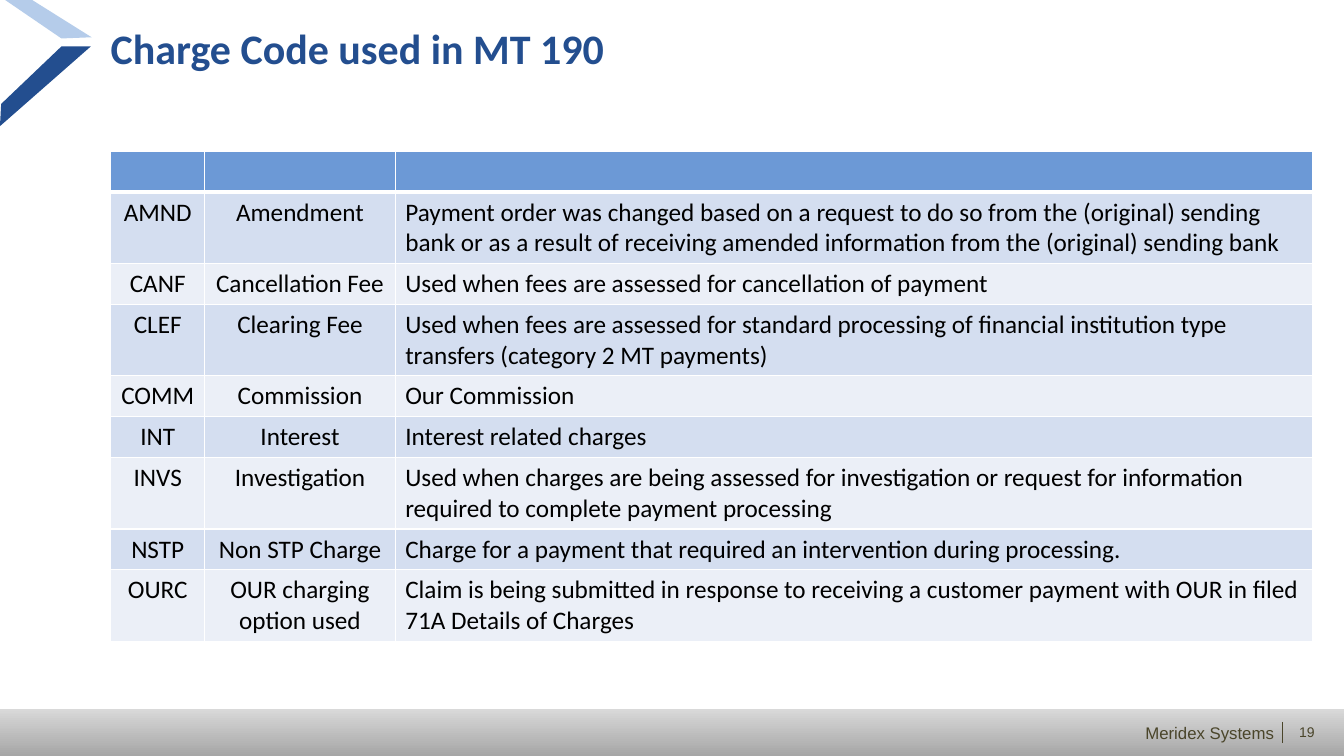
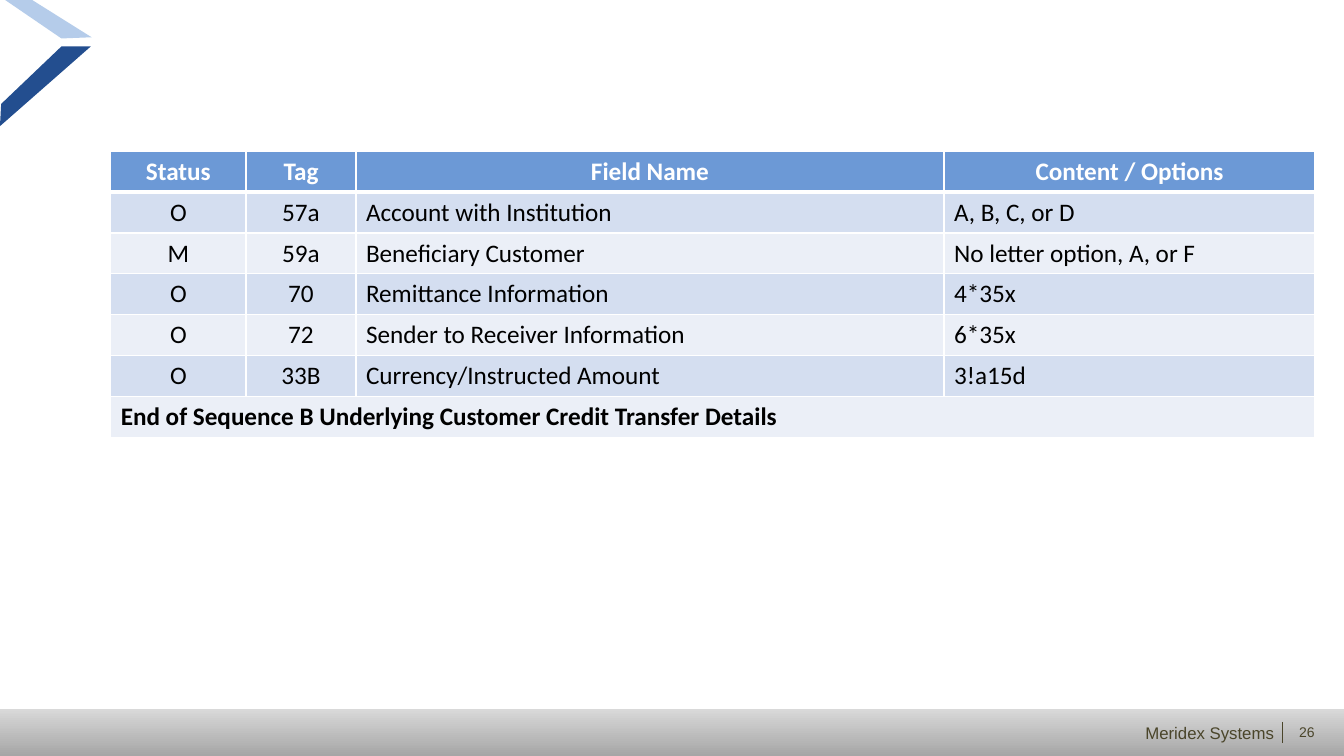
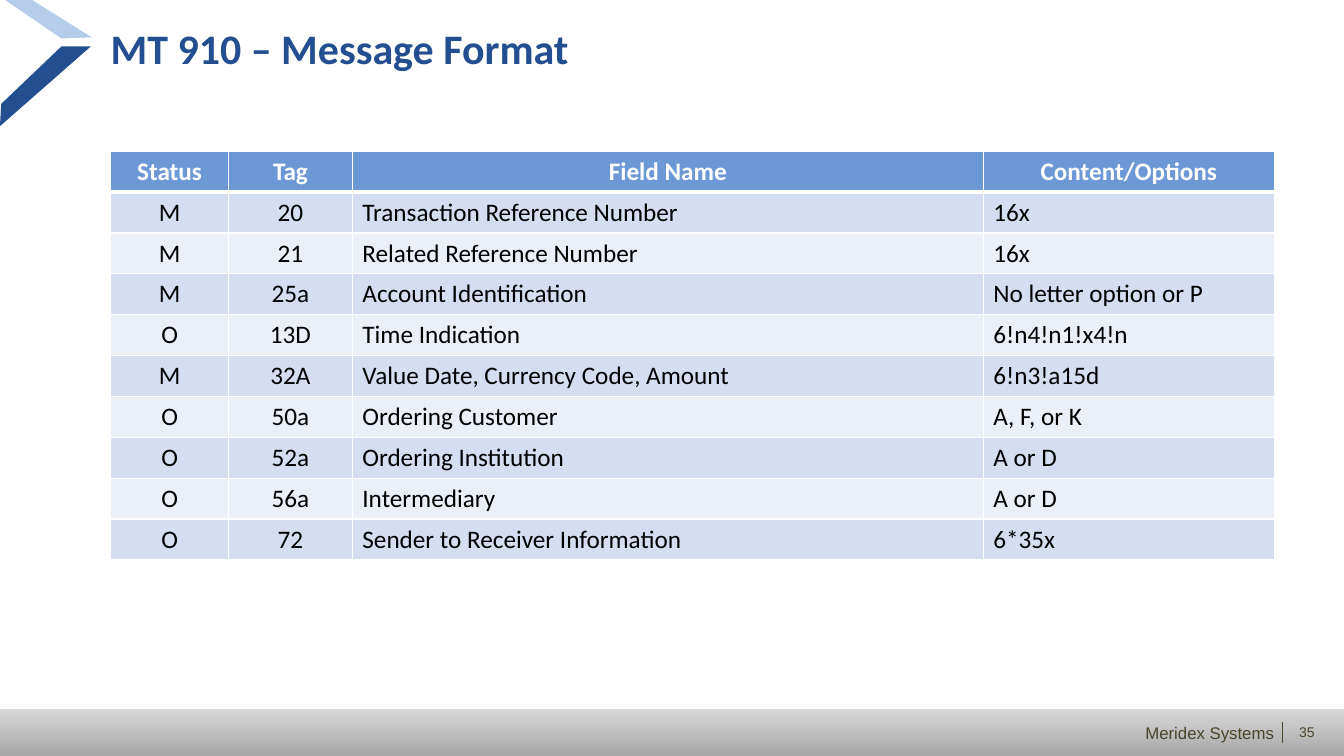
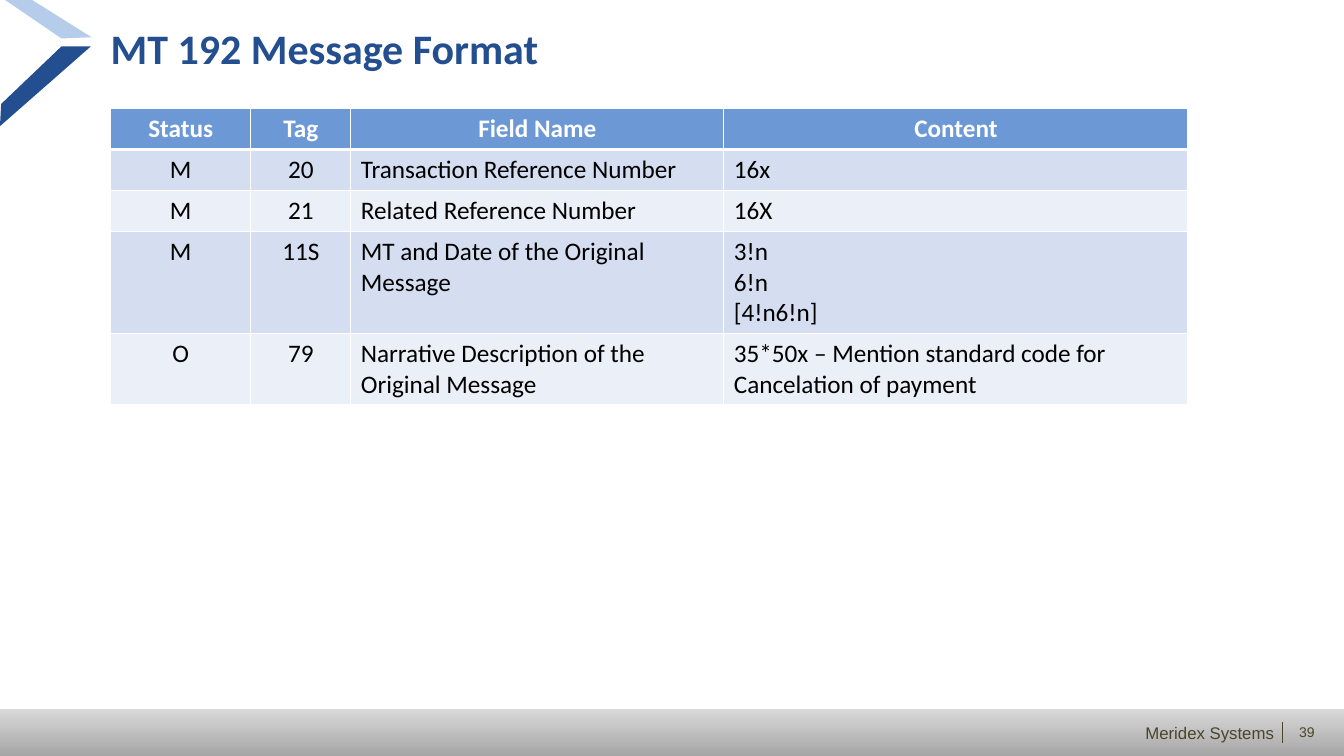
import pptx
import pptx.dml.color
import pptx.enum.shapes
import pptx.enum.text
import pptx.oxml
import pptx.oxml.ns
import pptx.util

Cm = pptx.util.Cm
Pt = pptx.util.Pt
ALIGN = pptx.enum.text.PP_ALIGN
ANCHOR = pptx.enum.text.MSO_ANCHOR

COLORS = {
    "white": "FFFFFF",
    "black": "000000",
    "navy": "234E8F",
    "sky": "B5CCEA",
    "header": "6C99D6",
    "band_dark": "D4DEF0",
    "band_light": "EBEFF7",
    "footer_top": "D9D9D9",
    "footer_bottom": "A6A6A6",
    "footer_text": "4A452A",
}

SLIDE_W, SLIDE_H = 33.87, 19.05
LEFT = 2.79
FOOTER_BOX = (0, 17.86, SLIDE_W, 1.19)
TITLE_BOX = (LEFT, 0.56, 30.35, 1.27)
ROW_H, LINE_H = 1.03, 0.77

CHEVRON = {
    "sky": [(0.81, 0), (2.31, 0.94), (1.55, 0.97), (0.13, 0)],
    "navy": [(1.55, 1.17), (2.29, 1.17), (0, 3.18), (0.03, 2.62)],
}

# "lines" gives the number of text lines of each row taller than one line.
SLIDES = [
    {
        "number": 19,
        "title": "Charge Code used in MT 190",
        "top": 3.81,
        "widths": [2.37, 4.8, 23.11],
        "lines": {1: 2, 3: 2, 6: 2, 8: 2},
        "rows": [
            ("", "", ""),
            ("AMND", "Amendment",
             "Payment order was changed based on a request to do so from the (original) sending "
             "bank or as a result of receiving amended information from the (original) sending bank"),
            ("CANF", "Cancellation Fee", "Used when fees are assessed for cancellation of payment"),
            ("CLEF", "Clearing Fee",
             "Used when fees are assessed for standard processing of financial institution type "
             "transfers (category 2 MT payments)"),
            ("COMM", "Commission", "Our Commission"),
            ("INT", "Interest", "Interest related charges"),
            ("INVS", "Investigation",
             "Used when charges are being assessed for investigation or request for information "
             "required to complete payment processing"),
            ("NSTP", "Non STP Charge",
             "Charge for a payment that required an intervention during processing."),
            ("OURC", "OUR charging option used",
             "Claim is being submitted in response to receiving a customer payment with OUR in "
             "filed 71A Details of Charges"),
        ],
    },
    {
        "number": 26,
        "top": 3.81,
        "widths": [3.41, 2.77, 14.82, 9.35],
        "rows": [
            ("Status", "Tag", "Field Name", "Content / Options"),
            ("O", "57a", "Account with Institution", "A, B, C, or D"),
            ("M", "59a", "Beneficiary Customer", "No letter option, A, or F"),
            ("O", "70", "Remittance Information", "4*35x"),
            ("O", "72", "Sender to Receiver Information", "6*35x"),
            ("O", "33B", "Currency/Instructed Amount", "3!a15d"),
            ("End of Sequence B Underlying Customer Credit Transfer Details",),
        ],
    },
    {
        "number": 35,
        "title": "MT 910 – Message Format",
        "top": 3.81,
        "widths": [2.97, 3.12, 15.9, 7.33],
        "rows": [
            ("Status", "Tag", "Field Name", "Content/Options"),
            ("M", "20", "Transaction Reference Number", "16x"),
            ("M", "21", "Related Reference Number", "16x"),
            ("M", "25a", "Account Identification", "No letter option or P"),
            ("O", "13D", "Time Indication", "6!n4!n1!x4!n"),
            ("M", "32A", "Value Date, Currency Code, Amount", "6!n3!a15d"),
            ("O", "50a", "Ordering Customer", "A, F, or K"),
            ("O", "52a", "Ordering Institution", "A or D"),
            ("O", "56a", "Intermediary", "A or D"),
            ("O", "72", "Sender to Receiver Information", "6*35x"),
        ],
    },
    {
        "number": 39,
        "title": "MT 192 Message Format",
        "top": 2.74,
        "widths": [3.53, 2.52, 9.4, 11.7],
        "lines": {3: 3, 4: 2},
        "rows": [
            ("Status", "Tag", "Field Name", "Content"),
            ("M", "20", "Transaction Reference Number", "16x"),
            ("M", "21", "Related Reference Number", "16X"),
            ("M", "11S", "MT and Date of the Original Message", "3!n\n6!n\n[4!n6!n]"),
            ("O", "79", "Narrative Description of the Original Message",
             "35*50x – Mention standard code for Cancelation of payment"),
        ],
    },
]


def rgb(name):
    return pptx.dml.color.RGBColor.from_string(COLORS[name])


def write(p, text, size, color, font="Calibri", bold=False, align=ALIGN.LEFT):
    p.text = text
    p.alignment = align
    for r in p.runs:
        r.font.name = font
        r.font.size = Pt(size)
        r.font.bold = bold
        r.font.color.rgb = rgb(color)


def add_text(s, box, text, size, color, wrap=False, anchor=ANCHOR.TOP, **style):
    tf = s.shapes.add_textbox(*map(Cm, box)).text_frame
    tf.margin_left = tf.margin_right = tf.margin_top = tf.margin_bottom = 0
    tf.word_wrap = wrap
    tf.vertical_anchor = anchor
    write(tf.paragraphs[0], text, size, color, **style)


def add_chevron(s, x, y):
    for color, points in CHEVRON.items():
        corners = [(Cm(x + dx), Cm(y + dy)) for dx, dy in points]
        builder = s.shapes.build_freeform(*corners[0])
        builder.add_line_segments(corners[1:], close=True)
        sp = builder.convert_to_shape()
        sp.shadow.inherit = False
        sp.fill.solid()
        sp.fill.fore_color.rgb = rgb(color)
        sp.line.fill.background()


def add_footer(s, box, number):
    x, y, w, h = box
    band = s.shapes.add_shape(pptx.enum.shapes.MSO_SHAPE.RECTANGLE, *map(Cm, box))
    band.shadow.inherit = False
    band.line.fill.background()
    band.fill.gradient()
    band.fill.gradient_angle = 270
    for stop, color in zip(band.fill.gradient_stops, ("footer_top", "footer_bottom")):
        stop.color.rgb = rgb(color)

    right = x + w
    add_text(s, (right - 1.15, y + 0.38, 0.43, 0.43), str(number), 10, "footer_text",
             font="Arial", align=ALIGN.CENTER)
    add_text(s, (right - 5.01, y + 0.34, 3.25, 0.51), "Meridex Systems", 12, "footer_text",
             font="Arial", align=ALIGN.RIGHT, anchor=ANCHOR.MIDDLE)
    divider = s.shapes.add_connector(
        pptx.enum.shapes.MSO_CONNECTOR.STRAIGHT,
        Cm(right - 1.56), Cm(y + 0.33), Cm(right - 1.56), Cm(y + 0.86))
    divider.line.color.rgb = rgb("footer_text")
    divider.line.width = Pt(0.75)
    effects = pptx.oxml.parse_xml(f'<a:effectLst {pptx.oxml.ns.nsdecls("a")}/>')
    divider._element.spPr.append(effects)


def set_borders(cell, **widths):
    """Draw white borders; widths maps L, R, T and B to points."""
    tc_pr = cell._tc.get_or_add_tcPr()
    for side, width in widths.items():
        tc_pr.append(pptx.oxml.parse_xml(
            f'<a:ln{side} {pptx.oxml.ns.nsdecls("a")} w="{Pt(width)}"><a:solidFill>'
            f'<a:srgbClr val="{COLORS["white"]}"/></a:solidFill></a:ln{side}>'))


def add_table(s, x, y, widths, rows, lines):
    """Place a banded table; a row with a single entry spans all columns in bold."""
    heights = [ROW_H + LINE_H * (lines.get(i, 1) - 1) for i in range(len(rows))]
    table = s.shapes.add_table(len(rows), len(widths), Cm(x), Cm(y),
                               Cm(sum(widths)), Cm(sum(heights))).table
    for column, width in zip(table.columns, widths):
        column.width = Cm(width)
    for i, (row, height) in enumerate(zip(rows, heights)):
        table.rows[i].height = Cm(height)
        header, spanning = i == 0, len(row) == 1
        fill = "header" if header else "band_dark" if i % 2 else "band_light"
        for j in range(len(widths)):
            cell = table.cell(i, j)
            set_borders(cell, L=1, R=1, T=3 if i == 1 else 1, B=3 if header else 1)
            cell.fill.solid()
            cell.fill.fore_color.rgb = rgb(fill)
        for j, text in enumerate(row):
            centred = header or (j < 2 and not spanning)
            write(table.cell(i, j).text_frame.paragraphs[0], text, 18,
                  "white" if header else "black", bold=header or spanning,
                  align=ALIGN.CENTER if centred else ALIGN.LEFT)
        if spanning:
            table.cell(i, 0).merge(table.cell(i, len(widths) - 1))


def add_table_slide(prs, content):
    s = prs.slides.add_slide(prs.slide_layouts[6])
    add_footer(s, FOOTER_BOX, content["number"])
    add_chevron(s, 0, 0)
    if "title" in content:
        add_text(s, TITLE_BOX, content["title"], 30, "navy", wrap=True, bold=True)
    add_table(s, LEFT, content["top"], content["widths"], content["rows"],
              content.get("lines", {}))


def main():
    prs = pptx.Presentation()
    prs.slide_width, prs.slide_height = Cm(SLIDE_W), Cm(SLIDE_H)
    for content in SLIDES:
        add_table_slide(prs, content)
    prs.save("out.pptx")


if __name__ == "__main__":
    main()
